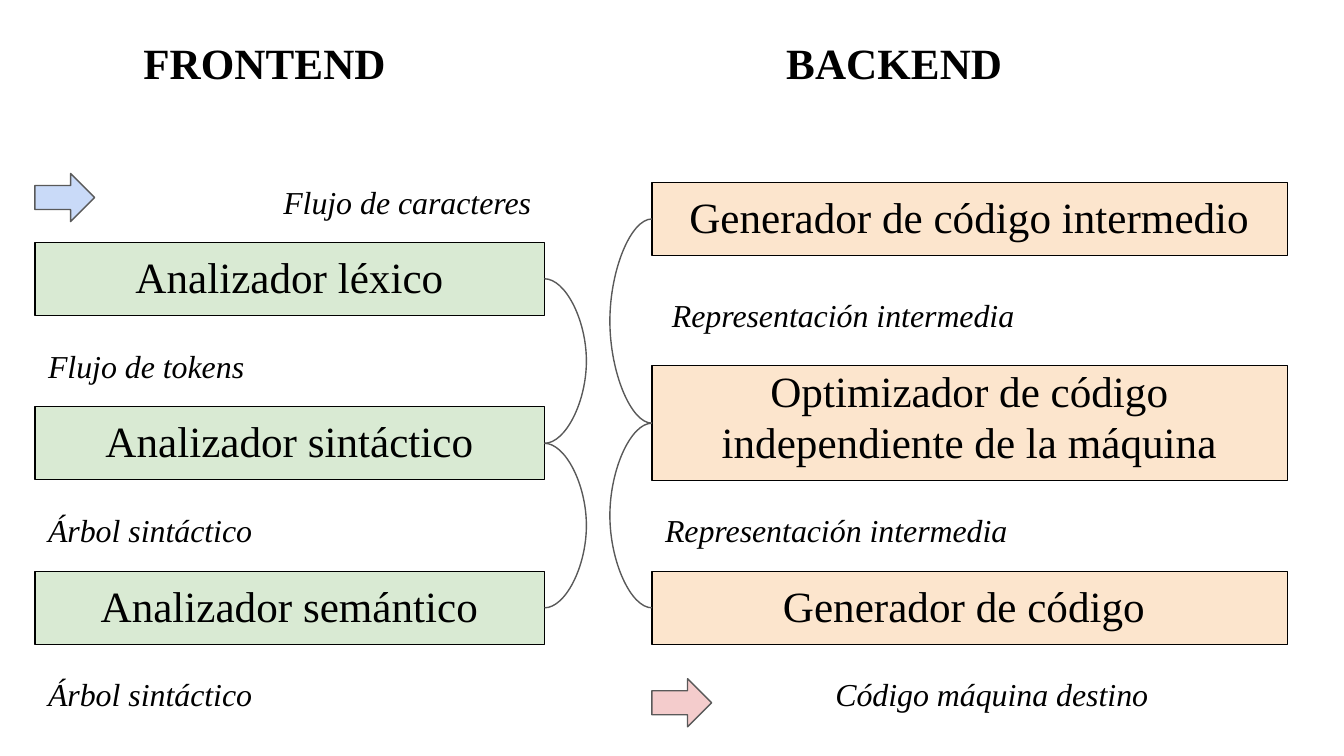
import pptx
import pptx.util
import pptx.dml.color
import pptx.enum.shapes
import pptx.enum.text
import pptx.oxml.ns
from lxml import etree

Cm = pptx.util.Cm
Pt = pptx.util.Pt
ALIGN = pptx.enum.text.PP_ALIGN
SHAPES = pptx.enum.shapes.MSO_SHAPE

COLORS = {
    "text": "000000",
    "frontend": "D9EAD3",
    "backend": "FCE5CD",
    "line": "595959",
    "input": "C9DAF8",
    "output": "F4CCCC",
}
FONT = "Times New Roman"
LARGE, SMALL = 23.1, 17.1
LEFT, RIGHT = 0.66, 12.32
BOX_HEIGHT, LABEL_WIDTH = 1.38, 9.63
ROWS = [4.58 + 3.11 * row for row in range(3)]
LABEL_ROWS = [3.05 + 3.1 * row for row in range(4)]
HEADING_TOP, HEADING_WIDTH = 0.54, 5.31
CURVE_WIDTH, CURVE_BULGE = 600, 39687500
RIGHT_SIDE, LEFT_SIDE = 3, 1

HEADINGS = [("FRONTEND", 2.46), ("BACKEND", 14.61)]
STAGES = [
    {
        "color": "frontend", "left": LEFT, "width": 9.63, "side": RIGHT_SIDE,
        "boxes": [
            ("Analizador léxico", ROWS[0], BOX_HEIGHT),
            ("Analizador sintáctico", ROWS[1], BOX_HEIGHT),
            ("Analizador semántico", ROWS[2], BOX_HEIGHT),
        ],
    },
    {
        "color": "backend", "left": RIGHT, "width": 12.01, "side": LEFT_SIDE,
        "boxes": [
            ("Generador de código intermedio", 3.45, BOX_HEIGHT),
            ("Optimizador de código independiente de la máquina", 6.91, 2.18),
            ("Generador de código ", ROWS[2], BOX_HEIGHT),
        ],
    },
]
LABELS = [
    ("Flujo de caracteres", LEFT, LABEL_ROWS[0], ALIGN.RIGHT),
    ("Flujo de tokens", LEFT, LABEL_ROWS[1], ALIGN.LEFT),
    ("Árbol sintáctico", LEFT, LABEL_ROWS[2], ALIGN.LEFT),
    ("Árbol sintáctico", LEFT, LABEL_ROWS[3], ALIGN.LEFT),
    ("Representación intermedia", 12.45, 5.18, ALIGN.LEFT),
    ("Representación intermedia", RIGHT, LABEL_ROWS[2], ALIGN.LEFT),
    ("Código máquina destino", RIGHT, LABEL_ROWS[3], ALIGN.RIGHT),
]
ARROWS = [("input", LEFT, 3.28), ("output", RIGHT, 12.83)]


def rgb(name):
    return pptx.dml.color.RGBColor.from_string(COLORS[name])


def write(shape, text, size, align, bold=False, italic=False):
    frame = shape.text_frame
    frame.word_wrap = True
    frame.auto_size = pptx.enum.text.MSO_AUTO_SIZE.NONE
    frame.vertical_anchor = pptx.enum.text.MSO_ANCHOR.BOTTOM
    frame.margin_left = frame.margin_right = Cm(0.25)
    frame.margin_top = frame.margin_bottom = Cm(0.25)
    paragraph = frame.paragraphs[0]
    paragraph.alignment = align
    paragraph.line_spacing = 1.0
    run = paragraph.add_run()
    run.text = text
    run.font.name = FONT
    run.font.size = Pt(size)
    run.font.bold = bold
    run.font.italic = italic
    run.font.color.rgb = rgb("text")


def add_filled(slide, kind, left, top, width, height, fill, line):
    shape = slide.shapes.add_shape(kind, Cm(left), Cm(top), Cm(width), Cm(height))
    shape.shadow.inherit = False
    shape.fill.solid()
    shape.fill.fore_color.rgb = rgb(fill)
    shape.line.color.rgb = rgb(line)
    shape.line.width = Pt(0.75)
    return shape


def add_curve(slide, start, end, side):
    on_right = side == RIGHT_SIDE
    edge = start.left + start.width if on_right else start.left
    bulge = CURVE_BULGE if on_right else -CURVE_BULGE
    connector = slide.shapes.add_connector(
        pptx.enum.shapes.MSO_CONNECTOR.CURVE,
        edge, start.top + start.height // 2,
        edge, end.top + end.height // 2,
    )
    connector.begin_connect(start, side)
    connector.end_connect(end, side)
    connector.width = pptx.util.Emu(CURVE_WIDTH)
    connector.line.color.rgb = rgb("line")
    connector.line.width = Pt(0.75)
    qn = pptx.oxml.ns.qn
    properties = connector.element.spPr
    geometry = properties.find(qn("a:prstGeom"))
    guides = geometry.find(qn("a:avLst"))
    if guides is None:
        guides = etree.SubElement(geometry, qn("a:avLst"))
    etree.SubElement(guides, qn("a:gd"), name="adj1", fmla=f"val {bulge}")
    etree.SubElement(properties, qn("a:effectLst"))


def main():
    presentation = pptx.Presentation()
    presentation.slide_width, presentation.slide_height = Cm(25.4), Cm(14.29)
    slide = presentation.slides.add_slide(presentation.slide_layouts[5])

    for index, (text, left) in enumerate(HEADINGS):
        heading = slide.shapes.title if index == 0 else slide.shapes.add_textbox(0, 0, 0, 0)
        heading.left, heading.top = Cm(left), Cm(HEADING_TOP)
        heading.width, heading.height = Cm(HEADING_WIDTH), Cm(BOX_HEIGHT)
        write(heading, text, LARGE, ALIGN.LEFT, bold=True)

    for text, left, top, align in LABELS:
        label = slide.shapes.add_textbox(Cm(left), Cm(top), Cm(LABEL_WIDTH), Cm(BOX_HEIGHT))
        write(label, text, SMALL, align, italic=True)

    for stage in STAGES:
        boxes = []
        for text, top, height in stage["boxes"]:
            box = add_filled(slide, SHAPES.RECTANGLE, stage["left"], top,
                             stage["width"], height, stage["color"], "text")
            write(box, text, LARGE, ALIGN.CENTER)
            boxes.append(box)
        for start, end in zip(boxes, boxes[1:]):
            add_curve(slide, start, end, stage["side"])

    for color, left, top in ARROWS:
        add_filled(slide, SHAPES.RIGHT_ARROW, left, top, 1.13, 0.91, color, "line")

    presentation.save("out.pptx")


if __name__ == "__main__":
    main()
